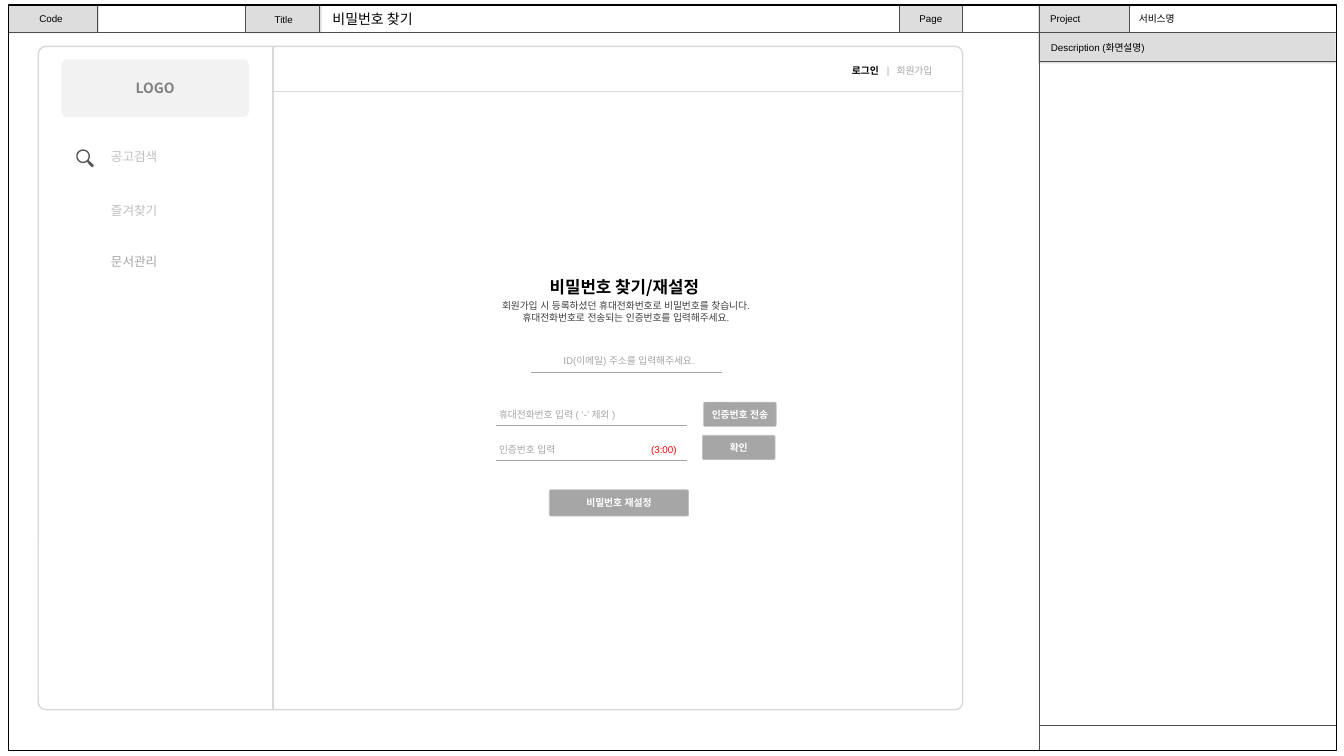
from math import cos, radians, sin

from lxml.etree import SubElement
from pptx import Presentation
from pptx.dml.color import RGBColor
from pptx.enum.shapes import MSO_CONNECTOR, MSO_SHAPE
from pptx.enum.text import MSO_ANCHOR as Anchor, PP_ALIGN as Align
from pptx.oxml.ns import qn
from pptx.util import Pt

BLACK = RGBColor(0x00, 0x00, 0x00)
WHITE = RGBColor(0xFF, 0xFF, 0xFF)
RED = RGBColor(0xFF, 0x00, 0x00)
HEADER_FILL = RGBColor(0xDD, 0xDD, 0xDD)
RULE = RGBColor(0x4D, 0x4D, 0x4D)
FRAME = RGBColor(0xD9, 0xD9, 0xD9)
LOGO_FILL = RGBColor(0xF2, 0xF2, 0xF2)
LOGO_TEXT = RGBColor(0x80, 0x80, 0x80)
ICON = RGBColor(0x59, 0x59, 0x59)
BODY = RGBColor(0x40, 0x40, 0x40)
PALE = RGBColor(0xBF, 0xBF, 0xBF)
GREY = RGBColor(0xA6, 0xA6, 0xA6)
ARIAL = "Arial"
NOTO = "Noto Sans CJK KR"


def format_run(run, size=7, font=ARIAL, color=BLACK, bold=False):
    run.font.size = Pt(size)
    run.font.bold = bold
    run.font.color.rgb = color
    run.font.name = font
    SubElement(run.font._element, qn("a:ea"), typeface=font)


def write(shape, *lines, align=Align.LEFT, anchor=Anchor.MIDDLE, wrap=True,
          margins=(7.2, 3.6, 7.2, 3.6), tabs=(), **style):
    """Each line is a string or a list of (text, style changes) pairs."""
    frame = shape.text_frame
    frame.word_wrap = wrap
    frame.vertical_anchor = anchor
    (frame.margin_left, frame.margin_top,
     frame.margin_right, frame.margin_bottom) = map(Pt, margins)
    for index, line in enumerate(lines):
        paragraph = frame.add_paragraph() if index else frame.paragraphs[0]
        paragraph.alignment = align
        if tabs:
            tab_list = SubElement(paragraph._p.get_or_add_pPr(), qn("a:tabLst"))
            for position in tabs:
                SubElement(tab_list, qn("a:tab"), pos=str(Pt(position)), algn="l")
        for text, changes in ([(line, {})] if isinstance(line, str) else line):
            run = paragraph.add_run()
            run.text = text
            format_run(run, **{**style, **changes})


class Wireframe:
    def __init__(self, slide):
        self.slide = slide

    def paint(self, shape, fill, line=None, line_width=0.5):
        shape.shadow.inherit = False
        if fill is None:
            shape.fill.background()
        else:
            shape.fill.solid()
            shape.fill.fore_color.rgb = fill
        if line is None:
            shape.line.fill.background()
        else:
            shape.line.color.rgb = line
            shape.line.width = Pt(line_width)

    def box(self, left, top, width, height, fill=WHITE, radius=None, **outline):
        kind = MSO_SHAPE.RECTANGLE if radius is None else MSO_SHAPE.ROUNDED_RECTANGLE
        shape = self.slide.shapes.add_shape(kind, *map(Pt, (left, top, width, height)))
        if radius is not None:
            shape.adjustments[0] = radius
        self.paint(shape, fill, **outline)
        return shape

    def label(self, left, top, width, height, text, **style):
        shape = self.slide.shapes.add_textbox(*map(Pt, (left, top, width, height)))
        write(shape, text, **style)

    def rule(self, x1, y1, x2, y2, color=RULE, width=0.75):
        line = self.slide.shapes.add_connector(
            MSO_CONNECTOR.STRAIGHT, *map(Pt, (x1, y1, x2, y2)))
        line.line.color.rgb = color
        line.line.width = Pt(width)
        SubElement(line._element.spPr, qn("a:effectLst"))

    def button(self, left, top, width, height, text):
        shape = self.box(left, top, width, height, GREY, 0.06, line=PALE)
        write(shape, text, align=Align.CENTER, wrap=False, color=WHITE, bold=True)

    def field(self, left, top, line, tabs=()):
        """Left-aligned input prompt with its underline."""
        self.rule(left + 5, top + 14.4, left + 141.3, top + 14.4, GREY, 0.25)
        shape = self.box(left, top, 136.8, 13, radius=0.06)
        write(shape, line, margins=(7.2, 3.6, 0, 3.6), tabs=tabs, color=GREY)

    def header_cell(self, left, top, width, height, text=None, **style):
        shape = self.box(left, top, width, height, HEADER_FILL)
        if text:
            write(shape, text, **style)

    def magnifier(self, x, y):
        """Search icon around a lens centre."""
        def circle(radius, start, end):
            return [(x + radius * cos(radians(angle)), y + radius * sin(radians(angle)))
                    for angle in range(start, end + 1, 10)]

        handle = [(4, 2.9), (4.7, 3.6), (7.2, 5.8), (7.6, 6.8), (7.2, 7.6),
                  (6.4, 7.8), (5.8, 7.4), (3.8, 5.4), (3.2, 4.3)]
        rim = circle(4.9, 55, 395) + [(x + dx, y + dy) for dx, dy in handle]
        builder = None
        for outline in (rim, circle(3.9, 0, 360)):
            points = [(Pt(px), Pt(py)) for px, py in outline]
            if builder is None:
                builder = self.slide.shapes.build_freeform(*points[0], scale=1.0)
            else:
                builder.move_to(*points[0])
            builder.add_line_segments(points[1:], close=True)
        self.paint(builder.convert_to_shape(), ICON)


def draw_sidebar(page):
    page.box(27.4, 33.1, 660.2, 473.8, radius=0.011, line=FRAME, line_width=1)
    page.rule(195.1, 65.5, 687.6, 65.5, FRAME, 1)
    account = page.box(553, 41.8, 124.6, 17.3, None, 0)
    write(account, [("로그인", {"bold": True, "color": BLACK}), ("\t|\t회원가입", {})],
          margins=(55.6, 3.6, 0, 3.6), tabs=(24.9, 31.9), color=GREY)
    page.magnifier(59.4, 111.6)
    page.rule(195.1, 506.9, 195.1, 33.1, FRAME, 1)
    logo = page.box(43.9, 42.5, 133.9, 41, LOGO_FILL, 0.093)
    write(logo, "LOGO", align=Align.CENTER, size=10, font=NOTO, color=LOGO_TEXT, bold=True)
    for top, text, color in ((103, "공고검색", PALE), (141.1, "즐겨찾기", PALE),
                             (177.8, "문서관리", GREY)):
        page.label(59.8, top, 72, 20.9, text, align=Align.CENTER,
                   anchor=Anchor.TOP, size=9, color=color)


def draw_form(page):
    panel = page.box(332.6, 162.7, 226.8, 213.8, radius=0.06)
    write(panel, "비밀번호 찾기/재설정", align=Align.CENTER, anchor=Anchor.TOP, wrap=False,
          margins=(7.2, 31.5, 7.2, 3.6), size=12, font=NOTO, bold=True)
    page.button(392.4, 349.9, 99.4, 18.7, "비밀번호 재설정")
    page.rule(379.4, 265.9, 515.5, 265.9, GREY, 0.25)
    email = page.box(380.9, 251.3, 136.8, 12.2, radius=0.06)
    write(email, "ID(이메일) 주소를 입력해주세요.", align=Align.CENTER, wrap=False, color=GREY)
    guide = page.box(378.7, 216, 136.8, 13, radius=0.06)
    write(guide, "회원가입 시 등록하셨던 휴대전화번호로 비밀번호를 찾습니다.",
          "휴대전화번호로 전송되는 인증번호를 입력해주세요.",
          align=Align.CENTER, wrap=False, color=BODY)
    page.field(349.2, 289.4, "휴대전화번호 입력 ( ‘-’ 제외 )")
    page.button(502.6, 287.3, 51.8, 17.3, "인증번호 전송")
    page.field(349.2, 314.6, [("인증번호 입력\t", {}), ("(3:00)", {"color": RED})], (108.6,))
    page.button(501.8, 311, 51.8, 17.3, "확인")


def draw_document_frame(page):
    page.header_cell(741.6, 23, 212.4, 22.3, "Description (화면설명)",
                     margins=(9.1, 3.6, 7.2, 3.6))
    page.header_cell(642.2, 3.6, 45.4, 19.4, "Page", align=Align.CENTER)
    page.header_cell(175.7, 3.6, 54, 20.2, "Title", align=Align.CENTER)
    page.header_cell(5.8, 4.3, 64.8, 19.4)
    page.label(5.8, 3.6, 61.2, 19.4, "Code", align=Align.CENTER)
    page.header_cell(741.6, 3.6, 64.8, 19.4)
    page.rule(742.3, 3.6, 742.3, 536.4)
    page.rule(6.5, 23, 954, 23)
    for y in (43.9, 518.4):
        page.rule(743, y, 954.7, y)
    for x in (69.8, 175.7, 228.2, 642.2, 687.6, 807.1):
        page.rule(x, 4.3, x, 23)
    page.label(743, 5.8, 63.4, 17.3, "Project", anchor=Anchor.TOP)
    page.label(806.4, 5.8, 144, 17.3, "서비스명", anchor=Anchor.TOP, font=NOTO)
    page.box(5.8, 3.6, 949, 532.8, None, line=BLACK, line_width=0.75)
    page.label(230.4, 4.3, 78.5, 19.4, "비밀번호 찾기", anchor=Anchor.TOP,
               wrap=False, size=10, font=NOTO)


def main():
    presentation = Presentation()
    presentation.slide_width, presentation.slide_height = Pt(960), Pt(540)
    page = Wireframe(presentation.slides.add_slide(presentation.slide_layouts[6]))
    draw_sidebar(page)
    draw_form(page)
    draw_document_frame(page)
    presentation.save("out.pptx")


if __name__ == "__main__":
    main()
